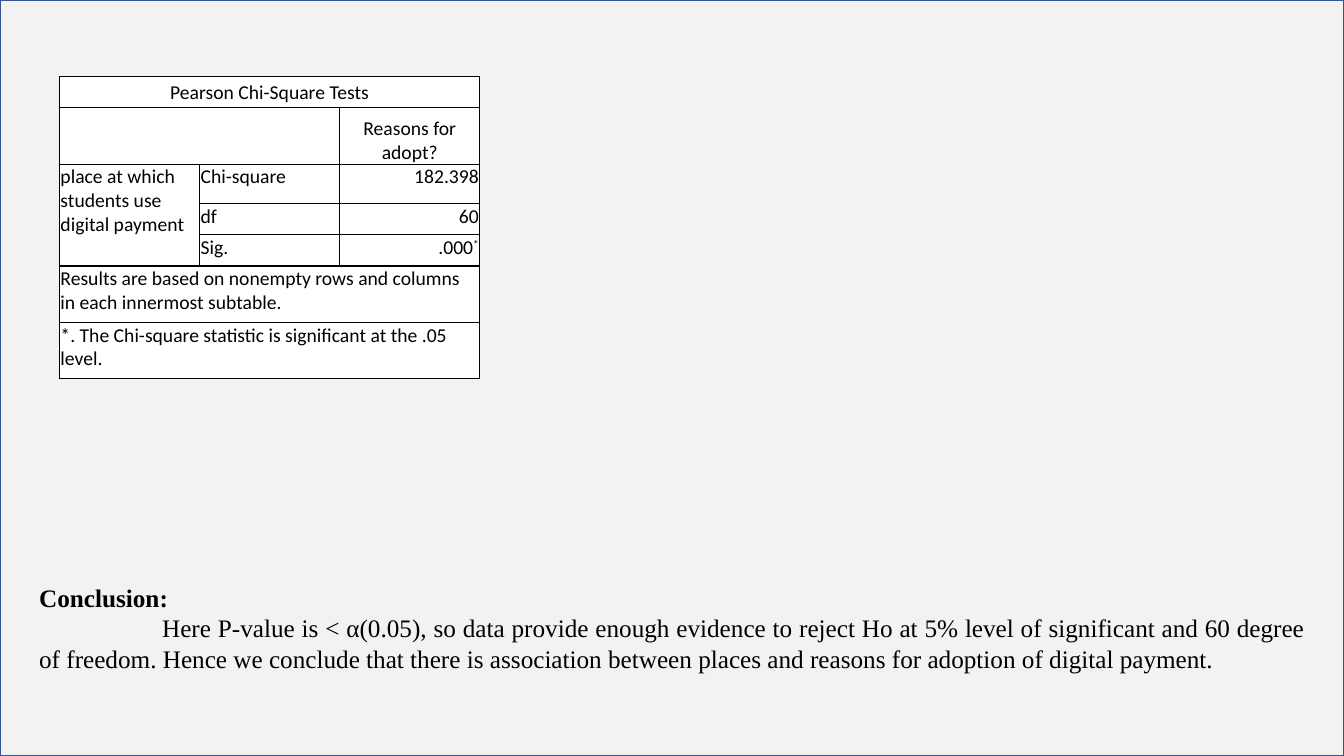
import pptx
import pptx.util
import pptx.dml.color
import pptx.enum.shapes
import pptx.enum.text
import pptx.oxml
import pptx.oxml.ns

Inches = pptx.util.Inches
Pt = pptx.util.Pt
RGBColor = pptx.dml.color.RGBColor
ALIGN = pptx.enum.text.PP_ALIGN
ANCHOR = pptx.enum.text.MSO_ANCHOR

BLACK = RGBColor(0x00, 0x00, 0x00)
WHITE = RGBColor(0xFF, 0xFF, 0xFF)
GREY = RGBColor(0xF2, 0xF2, 0xF2)
BLUE = RGBColor(0x32, 0x54, 0x91)

WIDTHS = [1.39] * 3
HEIGHTS = [0.31, 0.56, 0.39, 0.31, 0.31, 0.56, 0.56]
MERGES = [(0, 0, 0, 2), (1, 0, 1, 1), (2, 0, 4, 0), (5, 0, 5, 2), (6, 0, 6, 2)]
CELLS = [
    (0, 0, "Pearson Chi-Square Tests", ALIGN.CENTER, ANCHOR.MIDDLE),
    (1, 2, "Reasons for adopt?", ALIGN.CENTER, ANCHOR.BOTTOM),
    (2, 0, "place at which students use digital payment", ALIGN.LEFT, ANCHOR.TOP),
    (2, 1, "Chi-square", ALIGN.LEFT, ANCHOR.TOP),
    (2, 2, "182.398", ALIGN.RIGHT, ANCHOR.TOP),
    (3, 1, "df", ALIGN.LEFT, ANCHOR.TOP),
    (3, 2, "60", ALIGN.RIGHT, ANCHOR.TOP),
    (4, 1, "Sig.", ALIGN.LEFT, ANCHOR.TOP),
    (4, 2, ".000", ALIGN.RIGHT, ANCHOR.TOP),
    (5, 0, "Results are based on nonempty rows and columns in each innermost subtable.",
     ALIGN.LEFT, ANCHOR.TOP),
    (6, 0, "*. The Chi-square statistic is significant at the .05 level.",
     ALIGN.LEFT, ANCHOR.TOP),
]
RESULT = (
    "Here P-value is < α(0.05), so data provide enough evidence to reject Ho at 5% level "
    "of significant and 60 degree of freedom. Hence we conclude that there is association "
    "between places and reasons for adoption of digital payment."
)


class Deck:
    """Hold the text styles and the current slide, and add elements to it."""

    def __init__(self, slide):
        self.slide = slide
        self.cell = {"name": "Calibri", "size": Pt(14)}
        self.body = {"name": "Times New Roman", "size": Pt(18), "bold": False}
        self.head = {**self.body, "bold": True}

    def label(self, para, text, style):
        run = para.add_run()
        run.text = text
        for key, value in style.items():
            setattr(run.font, key, value)
        run.font.color.rgb = BLACK
        return run

    def panel(self, left, top, width, height):
        kind = pptx.enum.shapes.MSO_SHAPE.RECTANGLE
        shape = self.slide.shapes.add_shape(kind, left, top, width, height)
        shape.shadow.inherit = False
        shape.fill.solid()
        shape.fill.fore_color.rgb = GREY
        shape.line.color.rgb = BLUE
        shape.line.width = Pt(1)

    def note(self, left, top, width, height, title, text):
        frame = self.slide.shapes.add_textbox(left, top, width, height).text_frame
        frame.word_wrap = True
        frame.auto_size = pptx.enum.text.MSO_AUTO_SIZE.SHAPE_TO_FIT_TEXT
        self.label(frame.paragraphs[0], title, self.head)
        para = frame.add_paragraph()
        para.alignment = ALIGN.JUSTIFY
        para._p.get_or_add_pPr().set("indent", str(Inches(1.22)))
        self.label(para, text, self.body)

    def border(self, cell):
        props = cell._tc.get_or_add_tcPr()
        for side in ("lnL", "lnR", "lnT", "lnB"):
            props.append(pptx.oxml.parse_xml(
                f'<a:{side} {pptx.oxml.ns.nsdecls("a")} w="{Pt(1)}">'
                f'<a:solidFill><a:srgbClr val="{BLACK}"/></a:solidFill></a:{side}>'))

    def grid(self, left, top):
        size = Inches(sum(WIDTHS)), Inches(sum(HEIGHTS))
        table = self.slide.shapes.add_table(
            len(HEIGHTS), len(WIDTHS), left, top, *size).table
        for col, width in zip(table.columns, WIDTHS):
            col.width = Inches(width)
        for row, height in zip(table.rows, HEIGHTS):
            row.height = Inches(height)
        inset = {"margin_left": Inches(0.01), "margin_right": Inches(0.01),
                 "margin_top": Inches(0.01), "margin_bottom": Inches(0)}
        for cell in table.iter_cells():
            for key, value in inset.items():
                setattr(cell, key, value)
            self.border(cell)
            cell.fill.solid()
            cell.fill.fore_color.rgb = WHITE
        for row, col, last, end in MERGES:
            table.cell(row, col).merge(table.cell(last, end))
        for row, col, text, align, anchor in CELLS:
            cell = table.cell(row, col)
            cell.vertical_anchor = anchor
            para = cell.text_frame.paragraphs[0]
            para.alignment = align
            self.label(para, text, self.cell)
        mark = self.label(table.cell(4, 2).text_frame.paragraphs[0], "*", self.cell)
        mark._r.get_or_add_rPr().set("baseline", "30000")


def main():
    show = pptx.Presentation()
    show.slide_width = Inches(13.33)
    show.slide_height = Inches(7.5)
    deck = Deck(show.slides.add_slide(show.slide_layouts[6]))
    deck.panel(0, 0, show.slide_width, show.slide_height)
    deck.note(Inches(0.29), Inches(5.73), Inches(12.76), Inches(1.01),
              "Conclusion:", RESULT)
    deck.grid(Inches(0.59), Inches(0.76))
    show.save("out.pptx")


if __name__ == "__main__":
    main()
